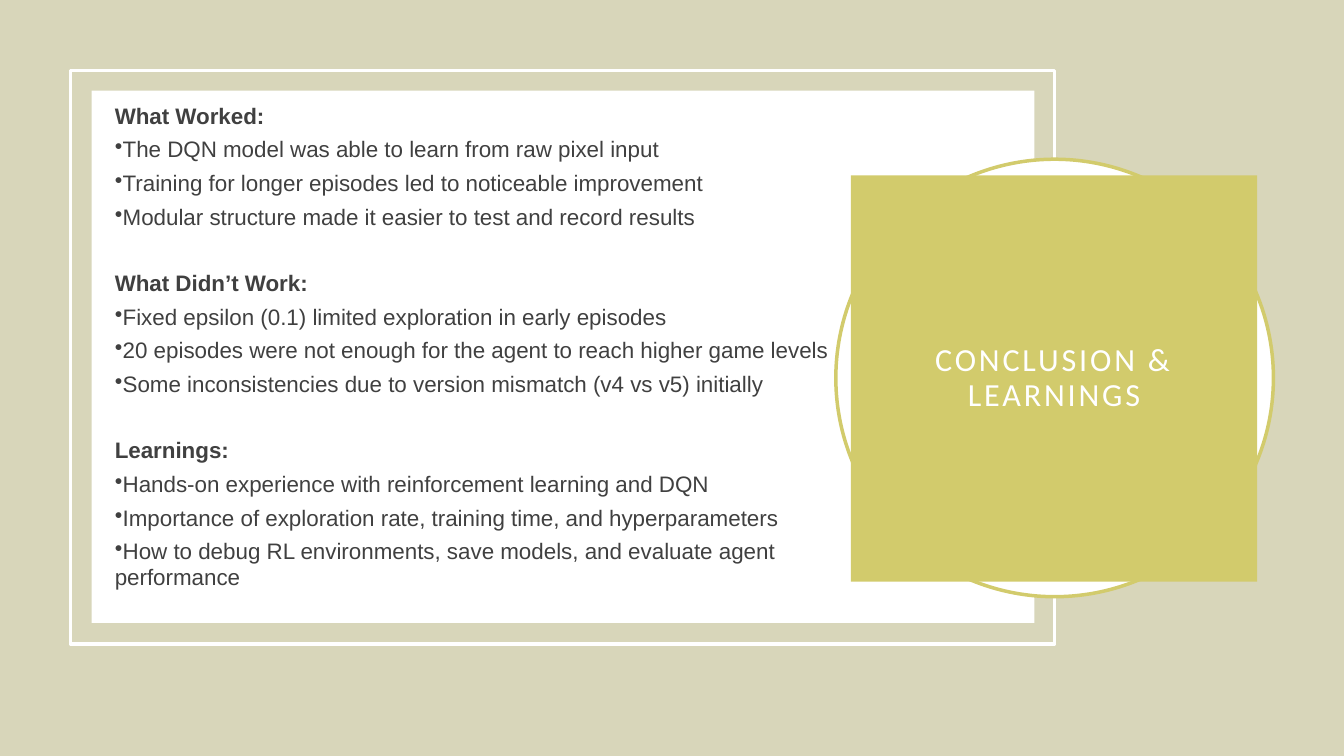
from lxml.etree import SubElement
from pptx import Presentation
from pptx.dml.color import RGBColor
from pptx.enum.shapes import MSO_SHAPE
from pptx.enum.text import MSO_ANCHOR, PP_ALIGN
from pptx.oxml.ns import qn
from pptx.util import Inches, Pt

SAND = RGBColor(0xD8, 0xD6, 0xBA)
OLIVE = RGBColor(0xD2, 0xCB, 0x6C)
WHITE = RGBColor(0xFF, 0xFF, 0xFF)
DARK_GREY = RGBColor(0x40, 0x40, 0x40)

SECTIONS = {
    "What Worked:": [
        "The DQN model was able to learn from raw pixel input",
        "Training for longer episodes led to noticeable improvement",
        "Modular structure made it easier to test and record results",
    ],
    "What Didn’t Work:": [
        "Fixed epsilon (0.1) limited exploration in early episodes",
        "20 episodes were not enough for the agent to reach higher game levels",
        "Some inconsistencies due to version mismatch (v4 vs v5) initially",
    ],
    "Learnings:": [
        "Hands-on experience with reinforcement learning and DQN",
        "Importance of exploration rate, training time, and hyperparameters",
        "How to debug RL environments, save models, and evaluate agent performance",
    ],
}


class SlideBuilder:
    heading_font = "Calibri"
    body_font = "Arial"
    line_width = Pt(2.5)

    def __init__(self, slide):
        self.slide = slide
        slide.background.fill.solid()
        slide.background.fill.fore_color.rgb = SAND

    def add_panel(self, kind, left, top, width, height, fill=None, line=None):
        shape = self.slide.shapes.add_shape(
            kind, Inches(left), Inches(top), Inches(width), Inches(height))
        shape.shadow.inherit = False
        if fill is None:
            shape.fill.background()
        else:
            shape.fill.solid()
            shape.fill.fore_color.rgb = fill
        if line is None:
            shape.line.fill.background()
        else:
            shape.line.color.rgb = line
            shape.line.width = self.line_width
        return shape

    def add_title(self, shape, text):
        frame = shape.text_frame
        frame.word_wrap = True
        frame.vertical_anchor = MSO_ANCHOR.MIDDLE
        frame.margin_left = frame.margin_right = Inches(0.2)
        frame.margin_top = frame.margin_bottom = Inches(0.2)
        paragraph = frame.paragraphs[0]
        paragraph.alignment = PP_ALIGN.CENTER
        paragraph.line_spacing = 0.9
        self.set_font(paragraph, self.heading_font, 23, WHITE)
        run = paragraph.add_run()
        run.text = text
        run.font._element.set("spc", "200")

    def add_sections(self, left, top, width, height, sections):
        frame = self.slide.shapes.add_textbox(
            Inches(left), Inches(top), Inches(width), Inches(height)).text_frame
        frame.word_wrap = True
        paragraph = frame.paragraphs[0]
        for index, (heading, points) in enumerate(sections.items()):
            if index:
                paragraph = frame.add_paragraph()
                paragraph.space_before = Pt(23.3)
            self.fill_line(paragraph, heading, bold=True)
            for point in points:
                paragraph = frame.add_paragraph()
                self.fill_line(paragraph, point)
                self.add_bullet(paragraph)

    def fill_line(self, paragraph, text, bold=False):
        paragraph.text = text
        paragraph.line_spacing = 0.96
        paragraph.space_after = Pt(5.6)
        self.set_font(paragraph, self.body_font, 16, DARK_GREY, bold)

    @staticmethod
    def add_bullet(paragraph):
        properties = paragraph._p.get_or_add_pPr()
        bullet = SubElement(properties, qn("a:buChar"))
        bullet.set("char", "•")
        properties.insert_element_before(bullet, "a:tabLst", "a:defRPr", "a:extLst")

    @staticmethod
    def set_font(paragraph, name, size, color, bold=False):
        font = paragraph.font
        font.name = name
        font.size = Pt(size)
        font.bold = bold
        font.color.rgb = color


def main():
    presentation = Presentation()
    presentation.slide_width = Inches(13.33)
    presentation.slide_height = Inches(7.5)
    builder = SlideBuilder(
        presentation.slides.add_slide(presentation.slide_layouts[6]))

    builder.add_panel(MSO_SHAPE.RECTANGLE, 0.7, 0.7, 9.76, 5.69, line=WHITE)
    builder.add_panel(MSO_SHAPE.RECTANGLE, 0.91, 0.9, 9.35, 5.28, fill=WHITE)
    builder.add_panel(MSO_SHAPE.OVAL, 8.29, 1.58, 4.34, 4.34, fill=WHITE, line=OLIVE)
    title_panel = builder.add_panel(
        MSO_SHAPE.RECTANGLE, 8.44, 1.74, 4.03, 4.03, fill=OLIVE)
    builder.add_title(title_panel, "CONCLUSION & LEARNINGS")
    builder.add_sections(1.04, 0.98, 7.54, 4.9, SECTIONS)

    presentation.save("out.pptx")


if __name__ == "__main__":
    main()
